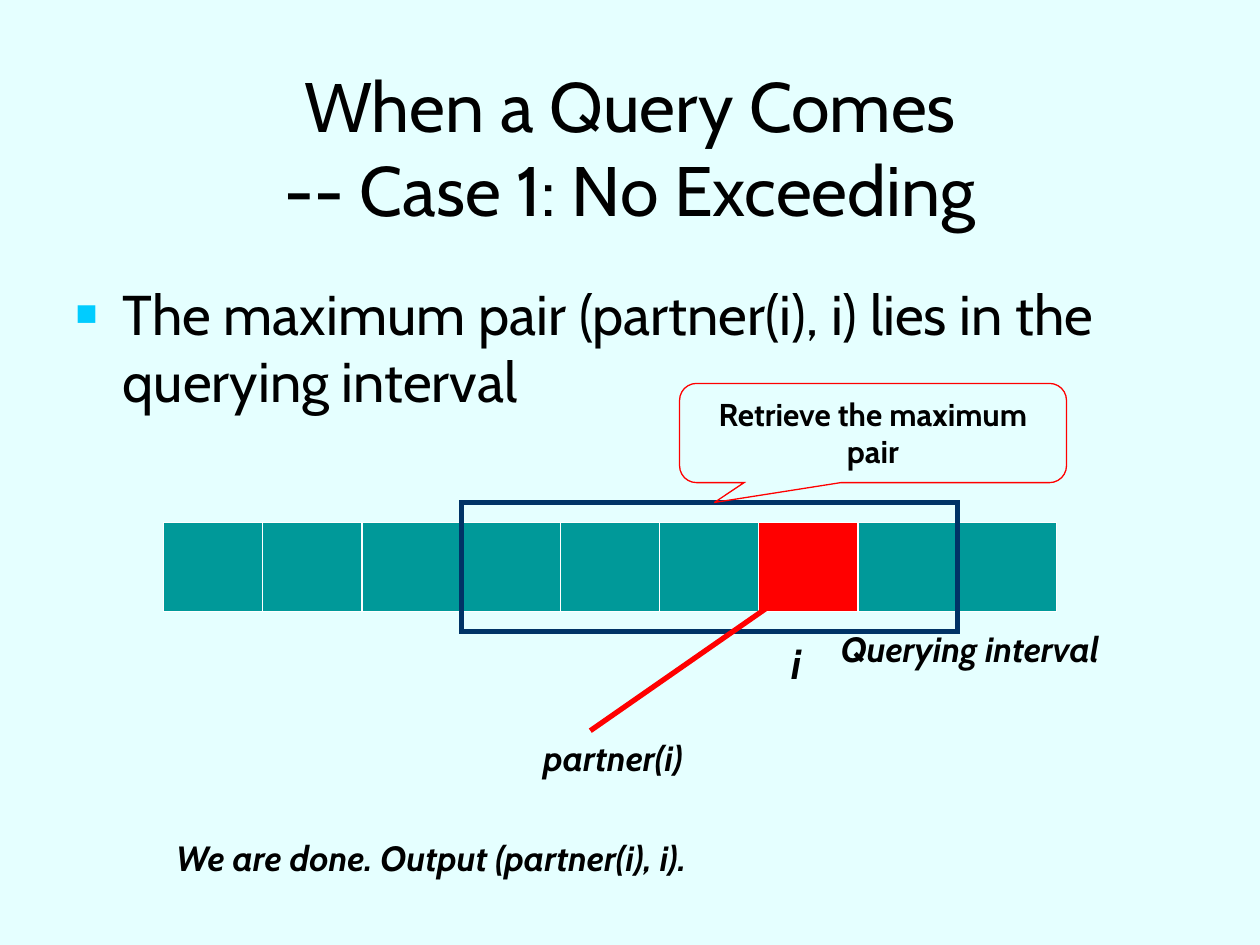
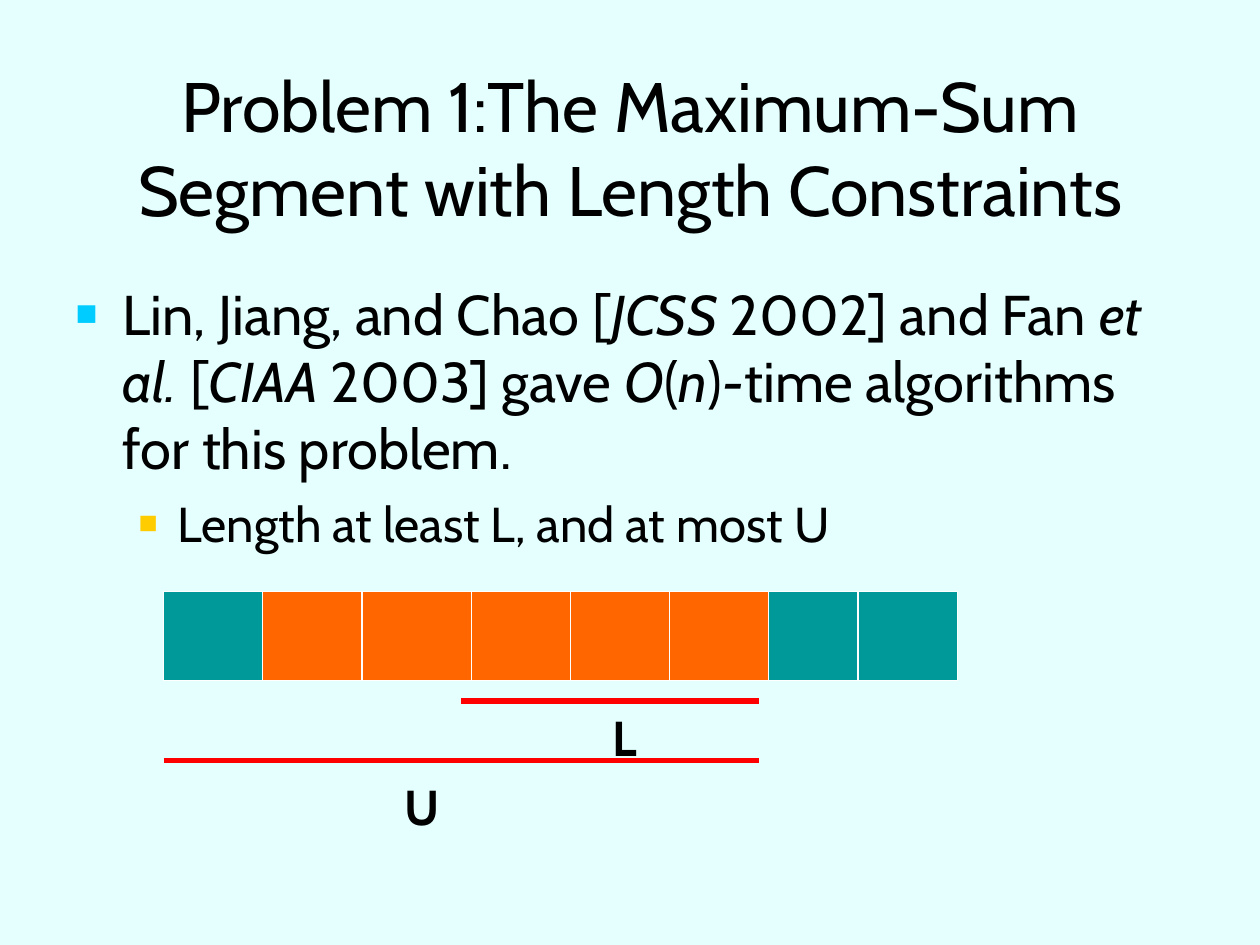
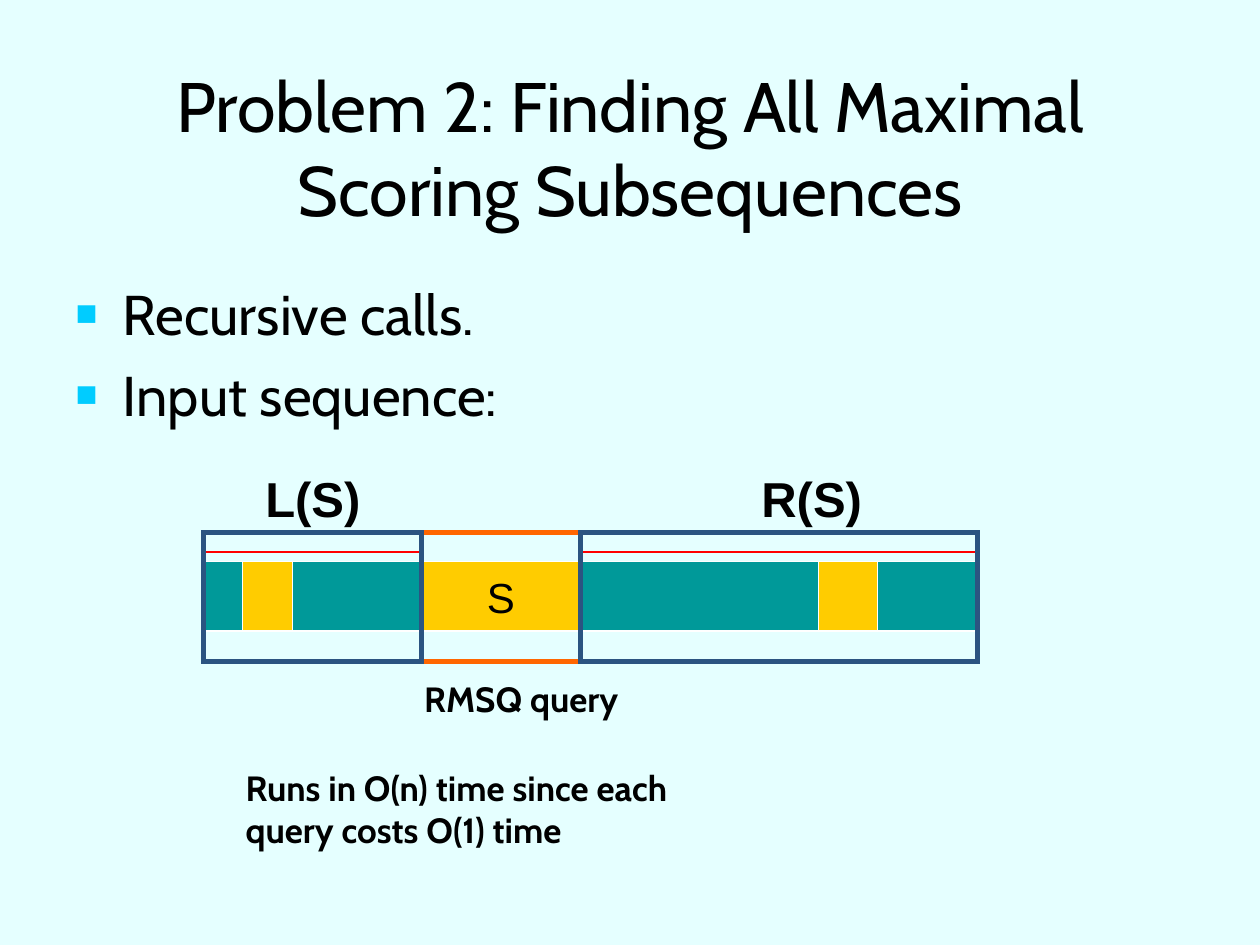
from dataclasses import dataclass
from typing import Any, Optional

import pptx
import pptx.dml.color
import pptx.enum.shapes
import pptx.enum.text
import pptx.oxml
import pptx.oxml.ns
import pptx.util

Cm = pptx.util.Cm
Pt = pptx.util.Pt
qn = pptx.oxml.ns.qn
Shapes = pptx.enum.shapes.MSO_SHAPE
Align = pptx.enum.text.PP_ALIGN
Anchor = pptx.enum.text.MSO_ANCHOR
AutoSize = pptx.enum.text.MSO_AUTO_SIZE
NAMESPACE = pptx.oxml.ns.nsdecls("a")


@dataclass(frozen=True)
class Theme:
    background: str = "E5FFFF"
    ink: str = "000000"
    white: str = "FFFFFF"
    teal: str = "009999"
    red: str = "FF0000"
    orange: str = "FF6600"
    gold: str = "FFCC00"
    navy: str = "003366"
    steel: str = "2B5481"
    cyan: str = "00CCFF"
    font: str = "Cabin"
    plain_font: str = "Arial"
    title_size: int = 40
    body_sizes: tuple[int, int] = (32, 28)
    large: int = 28
    symbol: int = 24
    label: int = 20
    callout: int = 18
    thin: float = 0.75
    thick: float = 3


THEME = Theme()


@dataclass(frozen=True)
class Box:
    """A place on the slide, in centimetres."""
    left: float
    top: float
    width: float
    height: float

    def lengths(self) -> list[int]:
        return [Cm(value) for value in (self.left, self.top, self.width, self.height)]


@dataclass(frozen=True)
class Bar:
    left: float
    right: float
    colour: str = THEME.teal


@dataclass(frozen=True)
class Bullet:
    colour: str
    margin: float
    hanging: float
    space_before: int


@dataclass(frozen=True)
class Item:
    text: str
    level: int = 0


@dataclass(frozen=True)
class Label:
    text: str
    box: Box
    size: int = THEME.label
    italic: bool = False
    font: str = THEME.font


BULLETS = (Bullet(THEME.cyan, 0.95, 0.95, 8), Bullet(THEME.gold, 2.06, 0.79, 7))
TITLE_BOX = Box(1.27, 1.05, 22.86, 3.81)
BODY_BOX = Box(1.27, 5.5, 22.86, 11.43)


def rgb(colour: str) -> pptx.dml.color.RGBColor:
    return pptx.dml.color.RGBColor.from_string(colour)


def apply(target: Any, values: dict[str, Any]) -> None:
    for name, value in values.items():
        setattr(target, name, value)


def write(paragraph: Any, text: str, size: int, font: str = THEME.font,
          bold: bool = False, italic: bool = False) -> None:
    """Add text to a paragraph; asterisks toggle italics, newlines break the line."""
    for line_index, line in enumerate(text.split("\n")):
        if line_index:
            paragraph.add_line_break()
        for part_index, part in enumerate(line.split("*")):
            if part:
                run = paragraph.add_run()
                run.text = part
                apply(run.font, {"name": font, "size": Pt(size), "bold": bold,
                                 "italic": italic or part_index % 2 == 1})
                run.font.color.rgb = rgb(THEME.ink)


def place(shape: Any, box: Box) -> None:
    apply(shape, dict(zip(("left", "top", "width", "height"), box.lengths())))
    apply(shape.text_frame, {"auto_size": AutoSize.NONE, "word_wrap": True})


def add_bullet(paragraph: Any, bullet: Bullet) -> None:
    properties = paragraph._p.get_or_add_pPr()
    properties.set("marL", str(Cm(bullet.margin)))
    properties.set("indent", str(-Cm(bullet.hanging)))
    for xml in (f'<a:buClr {NAMESPACE}><a:srgbClr val="{bullet.colour}"/></a:buClr>',
                f'<a:buSzPct {NAMESPACE} val="65000"/>',
                f'<a:buFont {NAMESPACE} typeface="{THEME.plain_font}"/>',
                f'<a:buChar {NAMESPACE} char="■"/>'):
        properties.append(pptx.oxml.parse_xml(xml))


def add_labels(slide: Any, labels: list[Label]) -> None:
    for label in labels:
        frame = slide.shapes.add_textbox(*label.box.lengths()).text_frame
        frame.word_wrap = True
        write(frame.paragraphs[0], label.text, label.size, label.font,
              bold=True, italic=label.italic)


def add_slide(presentation: Any, title: str, items: list[Item]) -> Any:
    slide = presentation.slides.add_slide(presentation.slide_layouts[1])
    heading, body = slide.shapes.title, slide.placeholders[1]
    place(heading, TITLE_BOX)
    place(body, BODY_BOX)
    heading.text_frame.vertical_anchor = Anchor.MIDDLE
    heading.text_frame.paragraphs[0].alignment = Align.CENTER
    write(heading.text_frame.paragraphs[0], title, THEME.title_size)

    frame = body.text_frame
    for index, item in enumerate(items):
        paragraph = frame.add_paragraph() if index else frame.paragraphs[0]
        bullet = BULLETS[item.level]
        apply(paragraph, {"level": item.level,
                          "space_before": Pt(bullet.space_before if index else 0)})
        add_bullet(paragraph, bullet)
        write(paragraph, item.text, THEME.body_sizes[item.level])
    return slide


def add_figure(slide: Any, box: Box, line: str, width: float = THEME.thick,
               fill: Optional[str] = None, kind: Any = Shapes.RECTANGLE) -> Any:
    """Add a shape with square line corners and no shadow."""
    shape = slide.shapes.add_shape(kind, *box.lengths())
    shape.shadow.inherit = False
    if fill:
        shape.fill.solid()
        shape.fill.fore_color.rgb = rgb(fill)
    else:
        shape.fill.background()
    shape.line.color.rgb = rgb(line)
    shape.line.width = Pt(width)
    shape._element.spPr.find(qn("a:ln")).append(
        pptx.oxml.parse_xml(f'<a:miter {NAMESPACE} lim="800000"/>'))
    return shape


def add_bars(slide: Any, top: float, height: float, bars: list[Bar]) -> list[Any]:
    """Stack bars from back to front, so that each covers part of those behind."""
    return [add_figure(slide, Box(bar.left, top, bar.right - bar.left, height),
                       THEME.white, THEME.thin, bar.colour) for bar in bars]


def add_red_line(slide: Any, start: tuple[float, float], end: tuple[float, float],
                 width: float = THEME.thick) -> None:
    connector = slide.shapes.add_connector(
        pptx.enum.shapes.MSO_CONNECTOR.STRAIGHT, *(Cm(value) for value in start + end))
    connector.line.color.rgb = rgb(THEME.red)
    connector.line.width = Pt(width)
    connector._element.spPr.append(pptx.oxml.parse_xml(f"<a:effectLst {NAMESPACE}/>"))


def build_query_slide(presentation: Any) -> None:
    slide = add_slide(
        presentation, "When a Query Comes\n-- Case 1: No Exceeding",
        [Item("The maximum pair (partner(i), i) lies in the querying interval")])
    cell = 2
    shrinking = [Bar(3.9, 17.3 - cell * step) for step in range(6)]
    add_bars(slide, 10.53, 1.8, [Bar(7.3, 21.3), Bar(5.3, 19.3), *shrinking,
                                 Bar(3.3, 5.3), Bar(15.29, 17.3, THEME.red)])
    add_figure(slide, Box(9.3, 10.13, 10, 2.6), THEME.navy)
    add_red_line(slide, (16.5, 11.53), (11.9, 14.73))
    add_labels(slide, [
        Label("i", Box(15.7, 12.73, 3, 1.27), THEME.symbol, italic=True),
        Label("partner(i)", Box(10.7, 14.73, 5.8, 1.1), italic=True),
        Label("Querying interval", Box(16.7, 12.53, 7.4, 1.1), italic=True),
        Label("We are done. Output (partner(i), i).", Box(3.3, 16.73, 15.2, 1.1),
              italic=True),
    ])
    callout = add_figure(slide, Box(13.7, 7.73, 7.8, 2), THEME.red, THEME.thin,
                         kind=Shapes.ROUNDED_RECTANGULAR_CALLOUT)
    for index, value in enumerate((-0.41, 0.7, 0.17)):
        callout.adjustments[index] = value
    apply(callout.text_frame, {"word_wrap": True, "vertical_anchor": Anchor.TOP})
    paragraph = callout.text_frame.paragraphs[0]
    paragraph.alignment = Align.CENTER
    write(paragraph, "Retrieve the maximum pair", THEME.callout, bold=True)


def build_length_slide(presentation: Any) -> None:
    slide = add_slide(
        presentation, "Problem 1:The Maximum-Sum Segment with Length Constraints",
        [Item("Lin, Jiang, and Chao [*JCSS *2002] and Fan *et al.* [*CIAA* 2003] "
              "gave *O*(*n*)*-*time algorithms for this problem."),
         Item("Length at least L, and at most U", level=1)])
    segment = [Bar(3.3, right, THEME.orange) for right in (15.5, 13.5, 11.5, 9.5, 7.3)]
    add_bars(slide, 11.92, 1.8, [Bar(5.3, 19.3), Bar(3.9, 17.3),
                                 *segment, Bar(3.3, 5.3)])
    for left, top in ((9.3, 14.13), (3.3, 15.33)):
        add_red_line(slide, (left, top), (15.3, top))
    add_labels(slide, [Label("L", Box(12.1, 14.13, 2.2, 1.45), THEME.large),
                       Label("U", Box(7.9, 15.53, 2.2, 1.45), THEME.large)])


def build_subsequence_slide(presentation: Any) -> None:
    slide = add_slide(
        presentation, "Problem 2: Finding All Maximal Scoring Subsequences",
        [Item("Recursive calls."), Item("Input sequence:")])
    left, segment_left, segment_right, right = 4.1, 8.5, 11.7, 19.7
    frame_top, frame_height = 10.73, 2.6
    bar_top, bar_height = 11.32, 1.4
    sides = ((left, segment_left), (segment_right, right))

    add_bars(slide, bar_top, bar_height, [Bar(left, right), Bar(4.89, 5.9, THEME.gold),
                                          Bar(16.5, 17.69, THEME.gold)])
    for start, end in sides:
        add_red_line(slide, (start, 11.13), (end, 11.13), THEME.thin)
    add_figure(slide, Box(left, frame_top, right - left, frame_height), THEME.orange)
    segment, = add_bars(slide, bar_top, bar_height,
                        [Bar(segment_left, segment_right, THEME.gold)])
    apply(segment.text_frame, {"word_wrap": False, "vertical_anchor": Anchor.MIDDLE})
    paragraph = segment.text_frame.paragraphs[0]
    paragraph.alignment = Align.CENTER
    write(paragraph, "S", THEME.symbol, THEME.plain_font)
    for start, end in sides:
        add_figure(slide, Box(start, frame_top, end - start, frame_height), THEME.steel)

    add_labels(slide, [
        Label("L(S)", Box(5.1, 9.33, 2.8, 1.45), THEME.large, font=THEME.plain_font),
        Label("R(S)", Box(15.1, 9.33, 2.8, 1.45), THEME.large, font=THEME.plain_font),
        Label("RMSQ query", Box(8.3, 13.53, 10.8, 1.1)),
        Label("Runs in O(n) time since each query costs O(1) time",
              Box(4.7, 15.33, 10.8, 1.95)),
    ])


def main() -> None:
    presentation = pptx.Presentation()
    apply(presentation, {"slide_width": Cm(25.4), "slide_height": Cm(19.05)})
    master = presentation.slide_master
    master.background.fill.solid()
    master.background.fill.fore_color.rgb = rgb(THEME.background)
    title_style = next(master.element.iter(qn("p:titleStyle")))
    for properties in title_style.iter(qn("a:defRPr")):
        properties.set("sz", str(THEME.title_size * 100))

    for build in (build_query_slide, build_length_slide, build_subsequence_slide):
        build(presentation)
    presentation.save("out.pptx")


if __name__ == "__main__":
    main()
